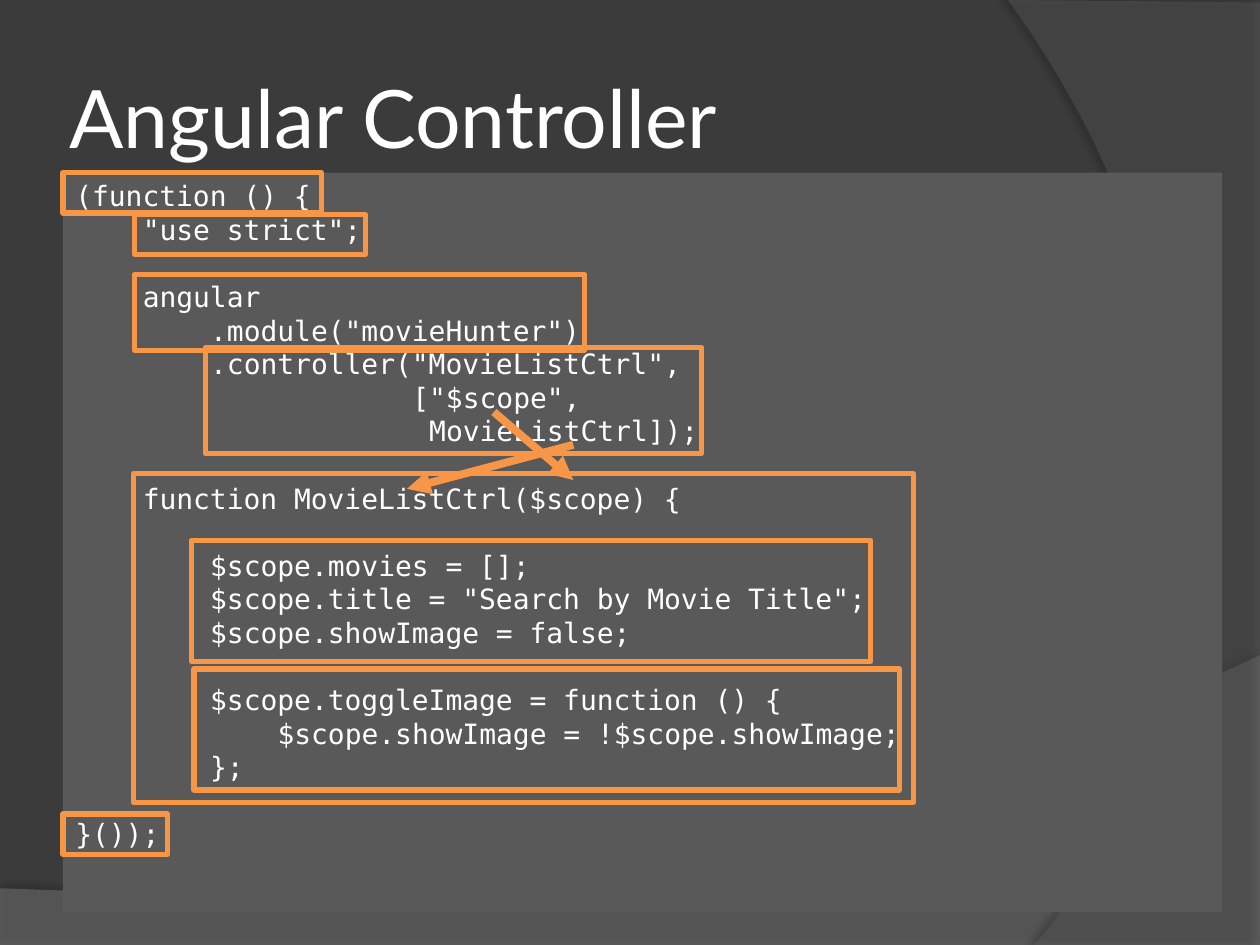
from lxml.etree import SubElement
from pptx import Presentation
from pptx.dml.color import RGBColor
from pptx.enum.shapes import MSO_CONNECTOR as Connector, MSO_SHAPE as Shape
from pptx.enum.text import MSO_ANCHOR as Anchor, PP_ALIGN as Align
from pptx.oxml.ns import qn
from pptx.util import Inches, Pt

ACCENT, WHITE = "F79646", "FFFFFF"
CODE_LINE = 19.2
CODE_COLUMN = 9.63

CODE = """(function () {
    "use strict";

    angular
        .module("movieHunter")
        .controller("MovieListCtrl",
                    ["$scope",
                     MovieListCtrl]);

    function MovieListCtrl($scope) {

        $scope.movies = [];
        $scope.title = "Search by Movie Title";
        $scope.showImage = false;

        $scope.toggleImage = function () {
            $scope.showImage = !$scope.showImage;
        };

}());"""

HIGHLIGHTS = [
    (0.5, 1.37, 2.05, 0.32),
    (0.5, 6.46, 0.83, 0.32),
    (1.07, 1.7, 1.83, 0.32),
    (1.07, 2.18, 3.57, 0.6),
    (1.63, 2.76, 3.94, 0.84),
    (1.06, 3.76, 6.19, 2.61),
    (1.52, 4.29, 5.39, 0.96),
    (1.54, 5.31, 5.6, 0.96),
]
ARROWS = [(3.92, 3.27, 4.55, 3.81), (4.55, 3.53, 3.23, 3.88)]


def paint(color_format, color):
    """Make a fill or line fill solid in a hex colour."""
    color_format.solid()
    color_format.fore_color.rgb = RGBColor.from_string(color)


def style_font(font, name, size, color=WHITE):
    """Set typeface, size and colour."""
    font.name, font.size = name, Pt(size)
    font.color.rgb = RGBColor.from_string(color)


def bezier(start, control1, control2, end, steps=40):
    """Return points along a cubic curve, without its start."""
    def at(t):
        weights = ((1 - t) ** 3, 3 * t * (1 - t) ** 2, 3 * t * t * (1 - t), t ** 3)
        corners = (start, control1, control2, end)
        return tuple(sum(w * c[axis] for w, c in zip(weights, corners)) for axis in (0, 1))
    return [at(step / steps) for step in range(1, steps + 1)]


def add_swoosh(slide, outline, color, opacity, shadow_opacity, distance, direction):
    """Draw a translucent backdrop shape with a soft shadow."""
    points = [(Inches(x), Inches(y)) for x, y in outline]
    builder = slide.shapes.build_freeform(*points[0])
    builder.add_line_segments(points[1:], close=True)
    swoosh = builder.convert_to_shape()
    paint(swoosh.fill, color)
    swoosh.line.fill.background()
    fill_color = swoosh.fill._xPr.find(qn("a:solidFill"))[0]
    SubElement(fill_color, qn("a:alpha"), val=str(opacity * 1000))
    swoosh.shadow.inherit = False
    effects = swoosh._element.spPr.find(qn("a:effectLst"))
    shadow = SubElement(effects, qn("a:outerShdw"), blurRad=str(Pt(4)),
                        dist=str(Pt(distance)), dir=str(direction * 60000),
                        algn="ctr", rotWithShape="0")
    shade = SubElement(shadow, qn("a:srgbClr"), val="000000")
    SubElement(shade, qn("a:alpha"), val=str(shadow_opacity * 1000))


def add_box(slide, bounds, fill=None, outline=None):
    """Add a rectangle with an optional fill and outline."""
    box = slide.shapes.add_shape(Shape.RECTANGLE, *map(Inches, bounds))
    box.shadow.inherit = False
    if fill:
        paint(box.fill, fill)
    else:
        box.fill.background()
    if outline:
        paint(box.line.fill, outline)
        box.line.width = Pt(3)
    else:
        box.line.fill.background()
    return box


def add_code(slide, bounds, source):
    """Show source code, turning indents and blank lines into spacing."""
    frame = add_box(slide, bounds, fill="595959").text_frame
    frame.vertical_anchor = Anchor.TOP
    frame.word_wrap = True
    line, gap = frame.paragraphs[0], 0
    for number, statement in enumerate(source.splitlines()):
        if not statement:
            gap += CODE_LINE
            continue
        if number:
            line = frame.add_paragraph()
        line.text = statement.lstrip()
        line.alignment = Align.LEFT
        line.line_spacing = Pt(CODE_LINE)
        line.space_before, gap = Pt(gap), 0
        indent = len(statement) - len(line.text)
        line._p.get_or_add_pPr().set("marL", str(Pt(indent * CODE_COLUMN)))
        style_font(line.font, "DejaVu Sans Mono", 16)


def add_arrow(slide, ends):
    """Add a thick accent arrow."""
    arrow = slide.shapes.add_connector(Connector.STRAIGHT, *map(Inches, ends))
    paint(arrow.line.fill, ACCENT)
    arrow.line.width = Pt(4.5)
    SubElement(arrow.line._get_or_add_ln(), qn("a:tailEnd"), type="triangle")
    SubElement(arrow._element.spPr, qn("a:effectLst"))


def set_title(slide, bounds, wording):
    """Place and format the title placeholder."""
    title = slide.shapes.title
    title.left, title.top, title.width, title.height = map(Inches, bounds)
    frame = title.text_frame
    frame.text = wording
    frame.vertical_anchor = Anchor.MIDDLE
    frame.margin_left = frame.margin_right = Inches(0.05)
    frame.paragraphs[0].alignment = Align.LEFT
    style_font(frame.paragraphs[0].font, "Lato", 46)


def main():
    """Build the slide and save it."""
    deck = Presentation()
    deck.slide_width, deck.slide_height = Inches(10), Inches(7.5)
    slide = deck.slides.add_slide(deck.slide_layouts[5])
    paint(slide.background.fill, "3B3B3B")

    floor = [(0, 7.05), (0, 7.5), (10, 7.5), (10, 5.2)]
    floor += bezier((10, 5.2), (5.59, 7.29), (3.91, 7.19), (0, 7.05))
    add_swoosh(slide, floor, "7F7F7F", 45, 35, 3.5, 270)
    side = [(10, 0.02), (10, 7.5), (8.21, 7.5)]
    side += bezier((8.21, 7.5), (9.35, 6.19), (10.18, 3), (8, 0))
    add_swoosh(slide, side, "5E5E5E", 40, 45, 4, 180)

    set_title(slide, (0.5, 0.3, 8.17, 1.25), "Angular Controller")
    add_code(slide, (0.5, 1.37, 9.2, 5.87), CODE)
    for bounds in HIGHLIGHTS:
        add_box(slide, bounds, outline=ACCENT)
    for ends in ARROWS:
        add_arrow(slide, ends)
    deck.save("out.pptx")


main()
